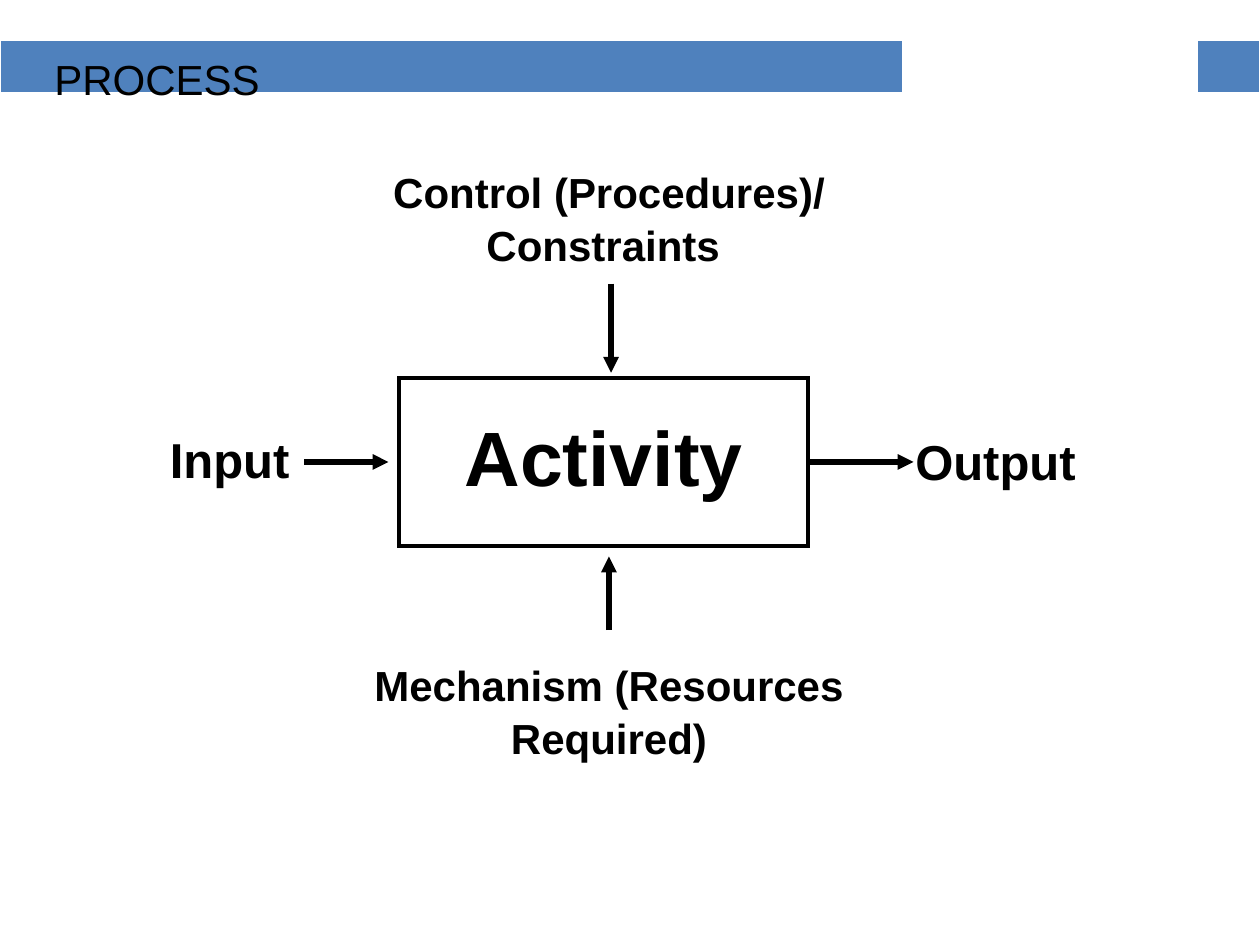
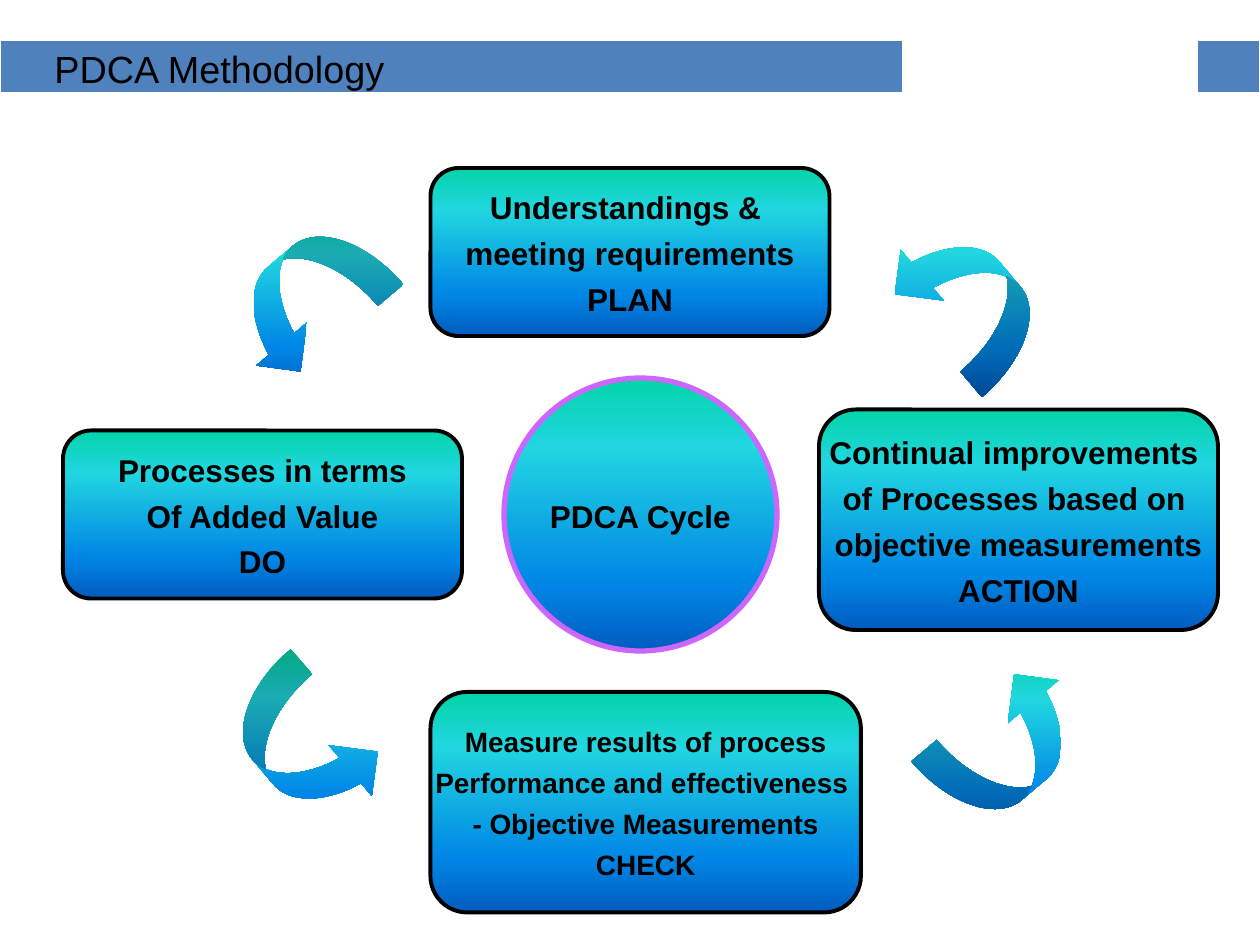
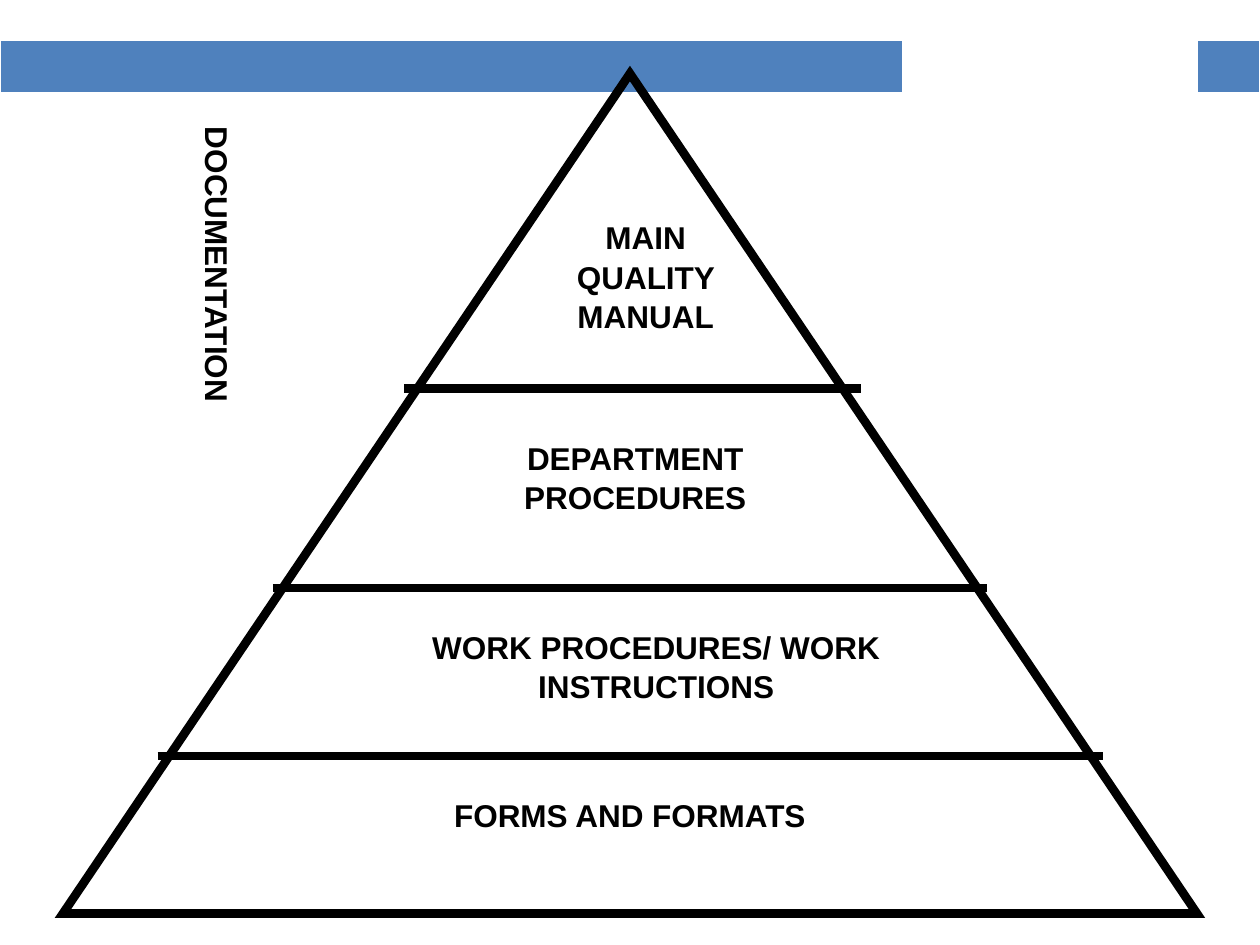
from lxml.etree import SubElement
from pptx import Presentation
from pptx.dml.color import RGBColor
from pptx.enum.shapes import MSO_CONNECTOR, MSO_SHAPE
from pptx.enum.text import MSO_ANCHOR, PP_ALIGN
from pptx.oxml.ns import qn
from pptx.util import Inches, Pt

COLUMNS, ROWS = 120, 90
FONT = "Arial"
BLACK, WHITE, BAND, VIOLET = "000000", "FFFFFF", "4F81BD", "CC66FF"
GRADIENT = [(0, "03D4A8"), (25, "21D6E0"), (75, "0087E6"), (100, "005CBF")]


def color(value):
    """Turn a hex string into a colour."""
    return RGBColor.from_string(value)


def write(frame, text, size=18, bold=True, align=PP_ALIGN.CENTER,
          anchor=MSO_ANCHOR.TOP, wrap=True, gap=0.05, spacing=1.05):
    """Write one paragraph per line of text; gap is a share of the font size."""
    frame.word_wrap = wrap
    frame.vertical_anchor = anchor
    for index, line in enumerate(text.split("\n")):
        paragraph = frame.paragraphs[0] if index == 0 else frame.add_paragraph()
        paragraph.alignment = align
        paragraph.space_before = Pt(round(gap * size, 1))
        paragraph.line_spacing = spacing
        run = paragraph.add_run()
        run.text = line
        run.font.name = FONT
        run.font.size = Pt(size)
        run.font.bold = bold
        run.font.color.rgb = color(BLACK)


class Deck:
    """Hold the shared style and the current slide."""

    def __init__(self):
        """Start an empty presentation of 10 by 7.5 inches."""
        self.presentation = Presentation()
        self.presentation.slide_width = Inches(10)
        self.presentation.slide_height = Inches(7.5)
        self.slide = None

    def place(self, column, row):
        """Turn a grid position or extent into lengths."""
        return (round(self.presentation.slide_width * column / COLUMNS),
                round(self.presentation.slide_height * row / ROWS))

    def box(self, left, top, width, height):
        """Turn a grid box into the four lengths of a shape."""
        return self.place(left, top) + self.place(width, height)

    def add_slide(self, title=None, size=24, height=5):
        """Add a slide with the band and an optional title."""
        self.slide = self.presentation.slides.add_slide(self.presentation.slide_layouts[6])
        self.band()
        if title:
            self.label(title, 4, 4, 112, height, size=size, bold=False, align=PP_ALIGN.LEFT,
                       anchor=MSO_ANCHOR.MIDDLE, gap=0, spacing=1)

    def band(self):
        """Draw the heading band as a table with an open middle cell."""
        table = self.slide.shapes.add_table(1, 3, *self.box(0, 3.84, 120, 5.16)).table
        table.first_row = table.horz_banding = False
        for index, (width, fill) in enumerate([(86, BAND), (28, None), (6, BAND)]):
            table.columns[index].width = self.place(width, 0)[0]
            cell = table.cell(0, index)
            properties = cell._tc.get_or_add_tcPr()
            for side, points in [("L", 1), ("R", 1), ("T", 1), ("B", 3)]:
                border = SubElement(properties, qn(f"a:ln{side}"), w=str(Pt(points)))
                paint = SubElement(border, qn("a:solidFill"))
                SubElement(paint, qn("a:srgbClr"), val=WHITE)
            if fill:
                cell.fill.solid()
                cell.fill.fore_color.rgb = color(fill)
            else:
                cell.fill.background()

    def label(self, text, left, top, width, height, rotation=0, **style):
        """Add a text box."""
        shape = self.slide.shapes.add_textbox(*self.box(left, top, width, height))
        shape.rotation = rotation
        write(shape.text_frame, text, **style)

    def outline(self, kind, left, top, width, height, line=BLACK, weight=2.25):
        """Add an unfilled shape with sharp corners, or no line if line is None."""
        shape = self.slide.shapes.add_shape(kind, *self.box(left, top, width, height))
        shape.shadow.inherit = False
        shape.fill.background()
        if line:
            shape.line.color.rgb = color(line)
            shape.line.width = Pt(weight)
            SubElement(shape.line._get_or_add_ln(), qn("a:miter"), lim="800000")
        else:
            shape.line.fill.background()
        return shape

    def shade(self, shape):
        """Fill a shape from top to bottom, whatever its rotation."""
        shape.fill.gradient()
        shape.fill.gradient_angle = 270
        gradient = shape._element.spPr.find(qn("a:gradFill"))
        gradient.set("rotWithShape", "0")
        stops = gradient.find(qn("a:gsLst"))
        for stop in list(stops):
            stops.remove(stop)
        for percent, value in GRADIENT:
            stop = SubElement(stops, qn("a:gs"), pos=str(percent * 1000))
            SubElement(stop, qn("a:srgbClr"), val=value)

    def panel(self, text, left, top, width, height, size=18,
              kind=MSO_SHAPE.ROUNDED_RECTANGLE, gap=0.2, **line):
        """Add a shaded shape with centred text."""
        shape = self.outline(kind, left, top, width, height, **line)
        self.shade(shape)
        write(shape.text_frame, text, size=size, gap=gap, wrap=False, anchor=MSO_ANCHOR.MIDDLE)

    def turn(self, left, top, rotation):
        """Add a shaded curved arrow."""
        shape = self.outline(MSO_SHAPE.CURVED_RIGHT_ARROW, left, top, 9.6, 16, line=None)
        for index, value in enumerate([0.33, 0.66, 0.33]):
            shape.adjustments[index] = value
        shape.rotation = rotation
        self.shade(shape)

    def line(self, start, end, weight=3, arrow=False, source=None):
        """Draw a straight line, joined to the right side of source if given."""
        connector = self.slide.shapes.add_connector(
            MSO_CONNECTOR.STRAIGHT, *self.place(*start), *self.place(*end))
        if source is not None:
            connector.begin_connect(source, 3)
        connector.line.color.rgb = color(BLACK)
        connector.line.width = Pt(weight)
        if arrow:
            SubElement(connector.line._get_or_add_ln(), qn("a:tailEnd"), type="triangle")
        SubElement(connector._element.spPr, qn("a:effectLst"))


def process_slide(deck):
    """Build the activity with its input, output, control and mechanism."""
    deck.add_slide("PROCESS", height=7)
    activity = deck.outline(MSO_SHAPE.RECTANGLE, 38, 36, 39, 16)
    deck.label("Activity", 38, 38, 39, 10, size=44)
    deck.label("Input", 15, 40, 14, 6.8, size=28, align=PP_ALIGN.LEFT)
    deck.label("Output", 86, 40.2, 25, 6.8, size=28, align=PP_ALIGN.LEFT)
    deck.label("Control (Procedures)/ Constraints ", 33, 15, 50, 10.9, size=24)
    deck.label("Mechanism (Resources Required)", 25, 62, 66, 10.9, size=24)
    deck.line((29, 44), (37, 44), arrow=True)
    deck.line((77, 44), (87, 44), arrow=True, source=activity)
    deck.line((58.2, 27), (58.2, 35.5), arrow=True)
    deck.line((58, 60), (58, 53), arrow=True)


def cycle_slide(deck):
    """Build the four steps around the cycle."""
    deck.add_slide("PDCA Methodology", size=21.6)
    deck.panel("PDCA Cycle", 48, 36, 26, 26, kind=MSO_SHAPE.OVAL, gap=0, line=VIOLET, weight=3)
    deck.panel("Processes in terms\nOf Added Value\nDO", 6, 41, 38, 16)
    deck.panel("Continual improvements \nof Processes based on \n"
               "objective measurements\nACTION", 78, 39, 38, 21)
    deck.panel("Measure results of process\nPerformance and effectiveness \n"
               "- Objective Measurements\nCHECK", 41, 65.9, 41, 21, size=16)
    deck.panel("Understandings & \nmeeting requirements\nPLAN", 41, 16, 38, 16)
    corners = [(24.4, 63), (24.4, 20.6), (87.2, 20.6), (91.2, 63)]
    for index, (left, top) in enumerate(corners):
        deck.turn(left, top, (319.7 + 90 * index) % 360)


def documentation_slide(deck):
    """Build the pyramid of document levels."""
    deck.add_slide()
    deck.outline(MSO_SHAPE.ISOSCELES_TRIANGLE, 6, 7, 108, 80, weight=5)
    for left, right, row in [(15, 105, 72), (26, 94, 56), (38.5, 82, 37)]:
        deck.line((left, row), (right, row), weight=5)
    levels = [("MAIN QUALITY MANUAL", 50, 20, 23, 12.1),
              ("DEPARTMENT PROCEDURES", 39, 41, 43, 8.5),
              ("WORK PROCEDURES/ WORK INSTRUCTIONS", 29, 59, 67, 8.5),
              ("FORMS AND FORMATS", 18, 75, 84, 4.8)]
    for level in levels:
        deck.label(*level)
    deck.label("DOCUMENTATION", 0.4, 29, 41, 4.8, rotation=90, align=PP_ALIGN.LEFT)


def main():
    """Build and save the deck."""
    deck = Deck()
    process_slide(deck)
    cycle_slide(deck)
    documentation_slide(deck)
    deck.presentation.save("out.pptx")


if __name__ == "__main__":
    main()
